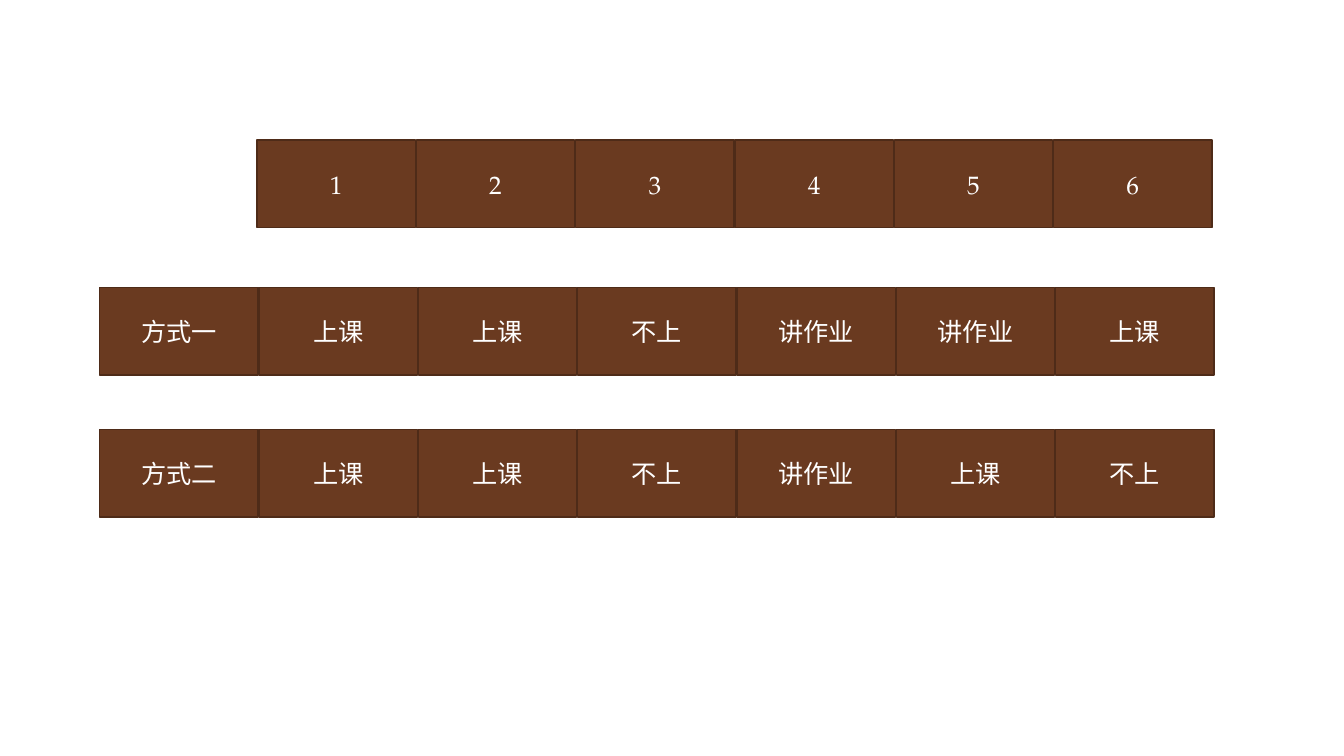
from pptx import Presentation
from pptx.dml.color import RGBColor
from pptx.enum.shapes import MSO_SHAPE as SHAPE
from pptx.enum.text import MSO_ANCHOR as ANCHOR, PP_ALIGN as ALIGN
from pptx.util import Inches, Pt

FONT = "TeX Gyre Pagella"
CELL_W, CELL_H = 1.57, 0.87
PITCH = 1.58
LABEL_LEFT = 0.99
LESSON_LEFT = LABEL_LEFT + PITCH

# left, top, cell texts
ROWS = [
    (LESSON_LEFT - 0.02, 1.39, ["1", "2", "3", "4", "5", "6"]),
    (LABEL_LEFT, 2.85, ["方式一", "上课", "上课", "不上", "讲作业", "讲作业", "上课"]),
    (LABEL_LEFT, 4.26, ["方式二", "上课", "上课", "不上", "讲作业", "上课", "不上"]),
]


def rgb(value):
    return RGBColor.from_string(value)


def add_cell(slide, left, top, text):
    sp = slide.shapes.add_shape(SHAPE.RECTANGLE, Inches(left), Inches(top),
                                Inches(CELL_W), Inches(CELL_H))
    sp.shadow.inherit = False
    sp.fill.solid()
    sp.fill.fore_color.rgb = rgb("6A3A20")
    sp.line.color.rgb = rgb("4E2B18")
    sp.line.width = Pt(1)
    tf = sp.text_frame
    tf.vertical_anchor = ANCHOR.MIDDLE
    p = tf.paragraphs[0]
    p.text = text
    p.alignment = ALIGN.CENTER
    p.font.name = FONT
    p.font.size = Pt(18)
    p.font.color.rgb = rgb("FFFFFF")


def add_row(slide, left, top, texts):
    for i, text in enumerate(texts):
        add_cell(slide, left + i * PITCH, top, text)


def main():
    prs = Presentation()
    prs.slide_width, prs.slide_height = Inches(13.33), Inches(7.5)
    s = prs.slides.add_slide(prs.slide_layouts[6])
    for left, top, texts in ROWS:
        add_row(s, left, top, texts)
    prs.save("out.pptx")


if __name__ == "__main__":
    main()
